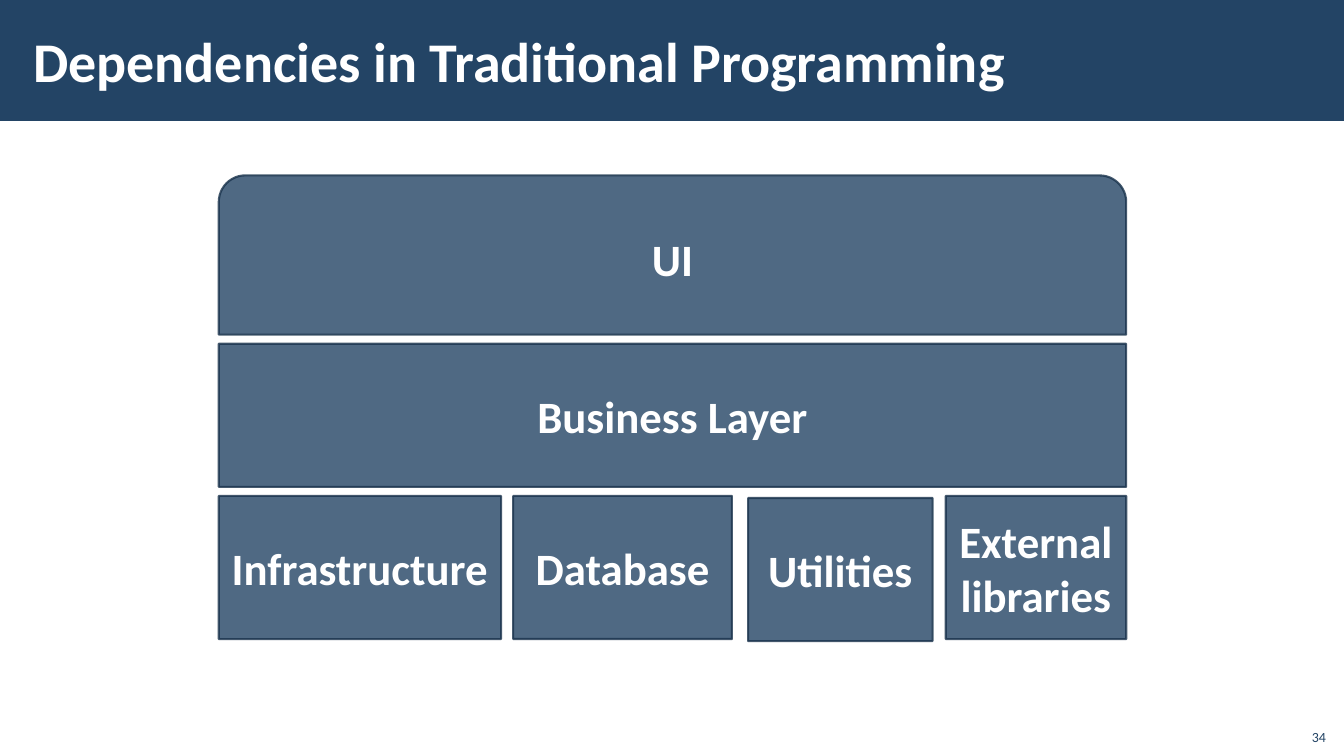
"""Build a slide of the layers in traditional programming."""
from dataclasses import dataclass

from lxml import etree
from pptx import Presentation
from pptx.dml.color import RGBColor
from pptx.enum.shapes import MSO_SHAPE
from pptx.enum.text import MSO_ANCHOR, PP_ALIGN
from pptx.oxml.ns import qn
from pptx.util import Inches, Pt

RECT = MSO_SHAPE.RECTANGLE
ROUND_ONE = MSO_SHAPE.ROUND_1_RECTANGLE
ROUND_TOP = MSO_SHAPE.ROUND_2_SAME_RECTANGLE
MIDDLE, BOTTOM = MSO_ANCHOR.MIDDLE, MSO_ANCHOR.BOTTOM
LEFT, CENTER, RIGHT = PP_ALIGN.LEFT, PP_ALIGN.CENTER, PP_ALIGN.RIGHT


@dataclass(frozen=True)
class Theme:
    """Hold the colours, font and type sizes."""
    navy: RGBColor = RGBColor(0x23, 0x44, 0x65)
    edge: RGBColor = RGBColor(0x1A, 0x33, 0x4C)
    white: RGBColor = RGBColor(0xFF, 0xFF, 0xFF)
    font: str = "Calibri"
    title: int = 40
    label: int = 32
    number: int = 10
    stroke: float = 1.5
    alpha: int = 80


@dataclass(frozen=True)
class Block:
    """Describe one labelled layer block."""
    label: str
    left: float
    top: float
    width: float
    height: float = 1.42
    kind: MSO_SHAPE = RECT


THEME = Theme()
EDGE, SPAN, BASE = 2.17, 9, 4.92
BLOCKS = (
    Block("Infrastructure", EDGE, BASE, 2.8, kind=ROUND_ONE),
    Block("UI", EDGE, 1.74, SPAN, 1.58, ROUND_TOP),
    Block("Business Layer", EDGE, 3.41, SPAN),
    Block("External libraries", 9.38, BASE, 1.79, kind=ROUND_ONE),
    Block("Database", 5.09, BASE, 2.17),
    Block("Utilities", 7.42, 4.94, 1.83),
)


def apply(target, values: dict) -> None:
    """Set each named format value on the target."""
    for name, value in values.items():
        setattr(target, name, value)


def write(shape, text: str, size: int, color: RGBColor, align: PP_ALIGN,
          anchor: MSO_ANCHOR, bold: bool = True) -> None:
    """Put one styled paragraph in a shape."""
    frame = shape.text_frame
    apply(frame, {"word_wrap": True, "vertical_anchor": anchor})
    para = frame.paragraphs[0]
    para.alignment = align
    run = para.add_run()
    run.text = text
    apply(run.font, {"name": THEME.font, "size": Pt(size), "bold": bold})
    run.font.color.rgb = color


def fade(shape) -> None:
    """Make the fill and line of a shape partly clear."""
    props = shape.fill._xPr
    for color in props.findall(f".//{qn('a:srgbClr')}"):
        alpha = etree.SubElement(color, qn("a:alpha"))
        alpha.set("val", str(THEME.alpha * 1000))


def add_band(slide) -> None:
    """Draw the band behind the title."""
    band = slide.shapes.add_shape(RECT, 0, 0, Inches(13.34), Inches(1.2))
    band.shadow.inherit = False
    band.fill.solid()
    band.fill.fore_color.rgb = THEME.navy
    band.line.fill.background()


def add_block(slide, block: Block) -> None:
    """Draw one layer block with its label."""
    place = (block.left, block.top, block.width, block.height)
    shape = slide.shapes.add_shape(block.kind, *map(Inches, place))
    shape.shadow.inherit = False
    if block.kind == ROUND_ONE:
        shape.adjustments[0] = 0
    shape.fill.solid()
    shape.fill.fore_color.rgb = THEME.navy
    shape.line.color.rgb = THEME.edge
    shape.line.width = Pt(THEME.stroke)
    fade(shape)
    write(shape, block.label, THEME.label, THEME.white, CENTER, MIDDLE)


def main() -> None:
    """Build and save the slide."""
    deck = Presentation()
    apply(deck, {"slide_width": Inches(13.33), "slide_height": Inches(7.5)})
    slide = deck.slides.add_slide(deck.slide_layouts[6])
    add_band(slide)
    number = slide.shapes.add_textbox(*map(Inches, (12.85, 7.12, 0.4, 0.32)))
    write(number, "34", THEME.number, THEME.navy, RIGHT, BOTTOM, False)
    title = slide.shapes.add_textbox(*map(Inches, (0.21, 0.11, 10.63, 0.97)))
    apply(title.text_frame, {
        "margin_left": Inches(0.12), "margin_right": Inches(0.12),
        "margin_top": Inches(0.04), "margin_bottom": Inches(0.04)})
    write(title, "Dependencies in Traditional Programming", THEME.title,
          THEME.white, LEFT, MIDDLE)
    for block in BLOCKS:
        add_block(slide, block)
    deck.save("out.pptx")


if __name__ == "__main__":
    main()
